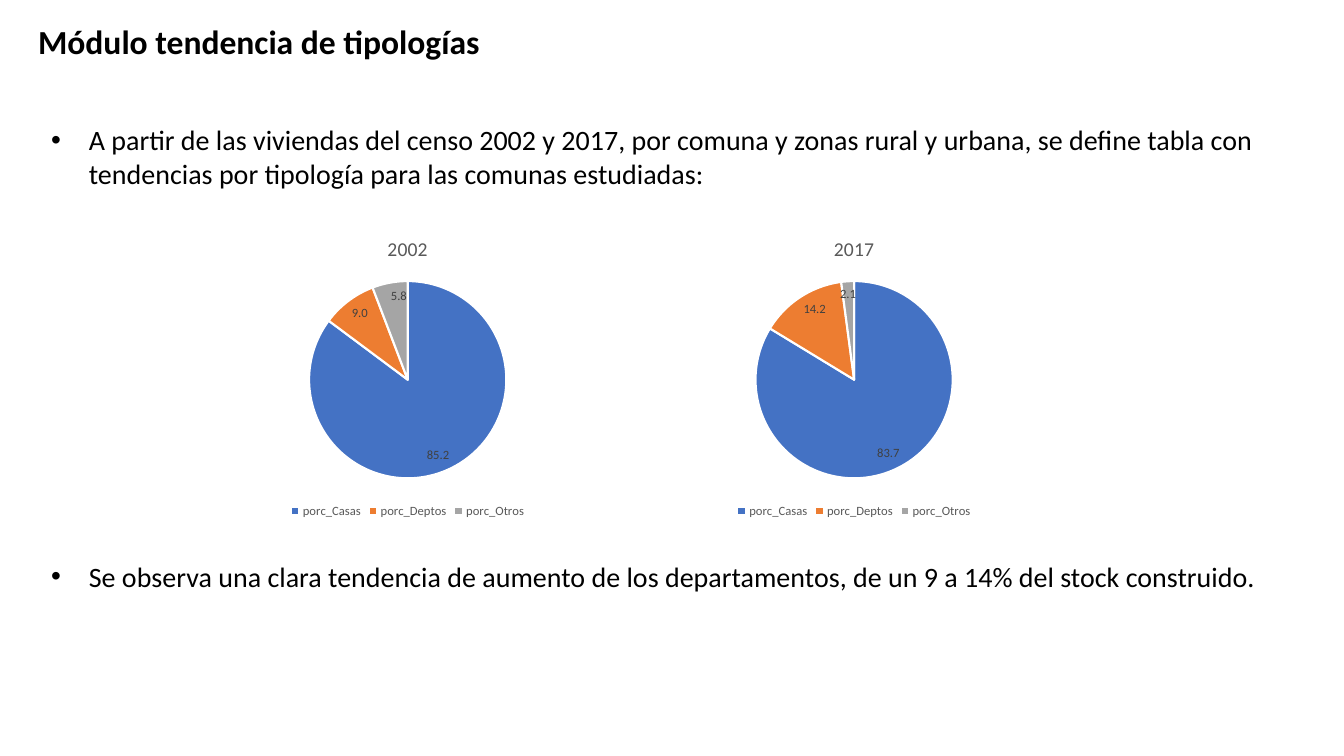
import pptx
import pptx.chart.data
import pptx.dml.color
import pptx.enum.chart
import pptx.enum.text
import pptx.util
import lxml.etree
from pptx.util import Cm

RGBColor = pptx.dml.color.RGBColor
BLACK = RGBColor(0x00, 0x00, 0x00)
WHITE = RGBColor(0xFF, 0xFF, 0xFF)
GREY = RGBColor(0x59, 0x59, 0x59)
DARK = RGBColor(0x40, 0x40, 0x40)
HUES = [
    RGBColor(0x44, 0x72, 0xC4),
    RGBColor(0xED, 0x7D, 0x31),
    RGBColor(0xA5, 0xA5, 0xA5),
]
FACE = "Calibri"
TYPES = ["porc_Casas", "porc_Deptos", "porc_Otros"]
SHARES = {"2002": [85.2, 9.0, 5.8], "2017": [83.7, 14.2, 2.1]}
POINTS = [
    "A partir de las viviendas del censo 2002 y 2017, por comuna y zonas rural y urbana, "
    "se define tabla con tendencias por tipología para las comunas estudiadas:",
    "Se observa una clara tendencia de aumento de los departamentos, "
    "de un 9 a 14% del stock construido.",
]


def set_font(font, size, color, bold=False):
    font.name = FACE
    font.size = pptx.util.Pt(size)
    font.color.rgb = color
    font.bold = bold


def add_bullet(para):
    props = para._p.get_or_add_pPr()
    props.set("marL", str(Cm(0.95)))
    props.set("indent", str(-Cm(0.95)))
    space = pptx.oxml.ns.qn
    lxml.etree.SubElement(props, space("a:buFont")).set("typeface", "Arial")
    lxml.etree.SubElement(props, space("a:buChar")).set("char", "•")


def add_title(slide, box):
    frame = slide.shapes.add_textbox(*box).text_frame
    frame.word_wrap = True
    frame.vertical_anchor = pptx.enum.text.MSO_ANCHOR.MIDDLE
    para = frame.paragraphs[0]
    para.text = "Módulo tendencia de tipologías"
    set_font(para.font, 24, BLACK, True)


def add_points(slide, box, gap):
    frame = slide.shapes.add_textbox(*box).text_frame
    frame.word_wrap = True
    for i, text in enumerate(POINTS):
        para = frame.add_paragraph() if i else frame.paragraphs[0]
        para.text = text
        add_bullet(para)
        if i:
            para.space_before = gap
        set_font(para.font, 20, BLACK)


def add_pie(slide, box, year, shares):
    data = pptx.chart.data.CategoryChartData(number_format="0.0")
    data.categories = TYPES
    data.add_series(year, shares)
    kind = pptx.enum.chart.XL_CHART_TYPE.PIE
    chart = slide.shapes.add_chart(kind, *box, data).chart
    set_font(chart.font, 10, BLACK)

    chart.has_title = True
    chart.chart_title.include_in_layout = False
    head = chart.chart_title.text_frame.paragraphs[0]
    head.text = year
    set_font(head.font, 14, GREY)

    chart.has_legend = True
    chart.legend.position = pptx.enum.chart.XL_LEGEND_POSITION.BOTTOM
    chart.legend.include_in_layout = False
    set_font(chart.legend.font, 9, GREY)

    plot = chart.plots[0]
    plot.vary_by_categories = True
    for i, hue in enumerate(HUES):
        slice_form = plot.series[0].points[i].format
        slice_form.fill.solid()
        slice_form.fill.fore_color.rgb = hue
        slice_form.line.color.rgb = WHITE
        slice_form.line.width = pptx.util.Pt(1.5)

    labels = plot.series[0].data_labels
    labels.show_value = True
    labels.show_percentage = False
    labels.number_format = "0.0"
    labels.number_format_is_linked = False
    labels.position = pptx.enum.chart.XL_LABEL_POSITION.INSIDE_END
    set_font(labels.font, 9, DARK)


def add_pies(slide, box, gap):
    left, top, width, height = box
    wide = (width - gap) // 2
    for i, (year, shares) in enumerate(SHARES.items()):
        add_pie(slide, (left + i * (wide + gap), top, wide, height), year, shares)


def main():
    deck = pptx.Presentation()
    deck.slide_width = Cm(33.87)
    deck.slide_height = Cm(19.05)
    slide = deck.slides.add_slide(deck.slide_layouts[6])
    add_title(slide, (Cm(0.71), Cm(0.46), Cm(14.78), Cm(1.17)))
    add_points(slide, (Cm(1.04), Cm(2.97), Cm(31.22), Cm(10.16)), Cm(9.3))
    add_pies(slide, (Cm(5.41), Cm(5.54), Cm(20.98), Cm(7.62)), Cm(1.52))
    deck.save("out.pptx")


if __name__ == "__main__":
    main()
